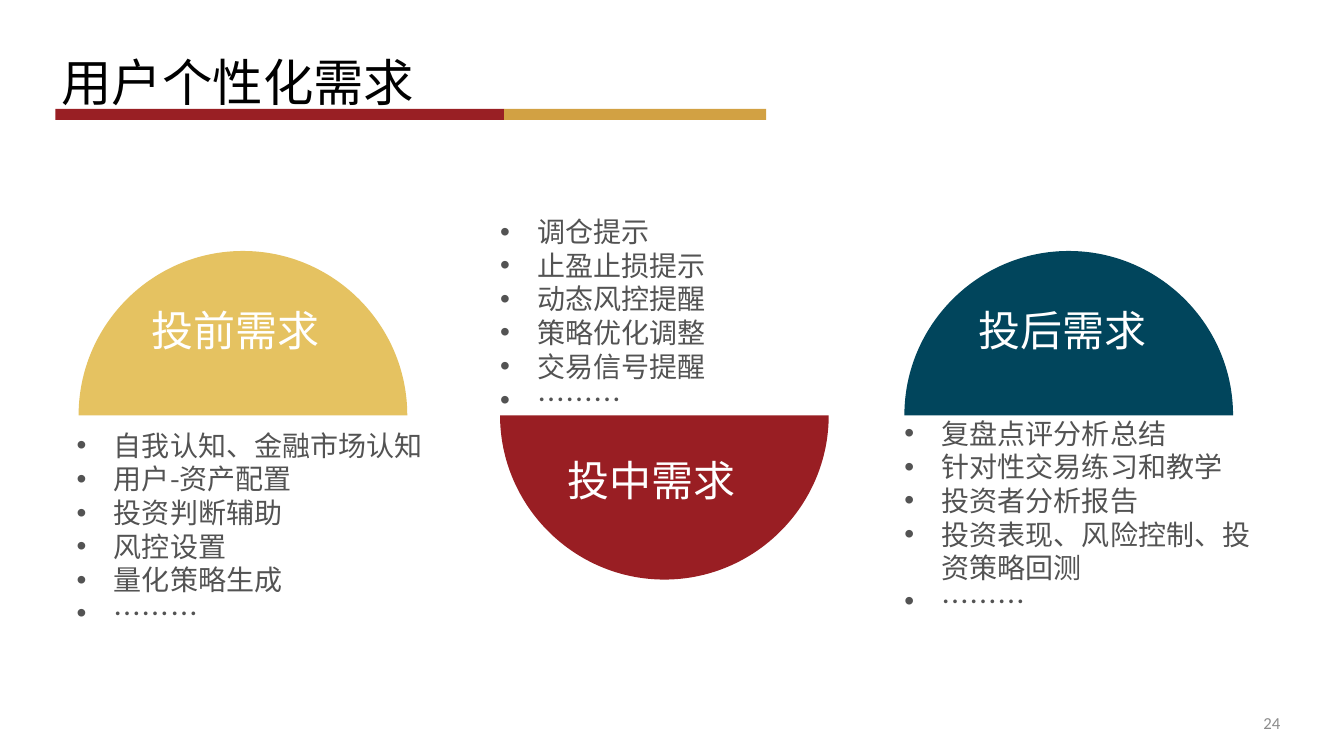
from lxml import etree
from pptx import Presentation
from pptx.dml.color import RGBColor
from pptx.enum.shapes import MSO_SHAPE
from pptx.enum.text import MSO_ANCHOR, PP_ALIGN
from pptx.oxml.ns import qn
from pptx.util import Inches, Pt

RECT = MSO_SHAPE.RECTANGLE
TOP, MIDDLE = MSO_ANCHOR.TOP, MSO_ANCHOR.MIDDLE
LEFT, RIGHT = PP_ALIGN.LEFT, PP_ALIGN.RIGHT
CJK, LATIN = "Noto Sans CJK SC", "Calibri"
COLORS = {
    "black": "000000", "white": "FFFFFF", "body": "535353", "number": "8C8C8C",
    "gold": "E5C261", "red": "991E23", "teal": "01455C",
    "bar_red": "991F24", "bar_gold": "D2A143",
}
RADIUS, BASELINE, INDENT = 1.63, 4.12, 0.37
ARC_PULL = 0.55
STAGES = [
    {"left": 0.78, "color": "gold", "up": True, "label": "投前需求",
     "label_at": (1.5, 3.02), "list_box": (0.76, 4.25, 3.65, 1.63),
     "items": ["自我认知、金融市场认知", "用户-资产配置", "投资判断辅助",
               "风控设置", "量化策略生成", "………"]},
    {"left": 4.96, "color": "red", "up": False, "label": "投中需求",
     "label_at": (5.63, 4.51), "list_box": (4.96, 2.13, 3.14, 2.07),
     "items": ["调仓提示", "止盈止损提示", "动态风控提醒",
               "策略优化调整", "交易信号提醒", "………"]},
    {"left": 8.97, "color": "teal", "up": True, "label": "投后需求",
     "label_at": (9.71, 3.02), "list_box": (8.97, 4.13, 3.52, 1.75),
     "items": ["复盘点评分析总结", "针对性交易练习和教学", "投资者分析报告",
               "投资表现、风险控制、投资策略回测", "………"]},
]


def paint(sp, color):
    """Give a shape a plain fill without line or shadow."""
    sp.shadow.inherit = False
    sp.fill.solid()
    sp.fill.fore_color.rgb = RGBColor.from_string(COLORS[color])
    sp.line.fill.background()


def add_bullet(p):
    """Give a paragraph a hanging round bullet."""
    pPr = p._p.get_or_add_pPr()
    pPr.set("marL", str(Inches(INDENT)))
    pPr.set("indent", str(-Inches(INDENT)))
    etree.SubElement(pPr, qn("a:buFont")).set("typeface", "Arial")
    etree.SubElement(pPr, qn("a:buChar")).set("char", "•")


def add_text(s, box, lines, size, color, font=CJK, anchor=TOP, align=LEFT,
             inset=0, spacing=None, bullets=False):
    """Add a text box with one paragraph for each line."""
    tf = s.shapes.add_textbox(*map(Inches, box)).text_frame
    tf.word_wrap = True
    tf.vertical_anchor = anchor
    tf.margin_left = tf.margin_right = Inches(inset)
    tf.margin_top = tf.margin_bottom = Inches(inset)
    for i, line in enumerate(lines):
        p = tf.paragraphs[0] if i == 0 else tf.add_paragraph()
        p.alignment = align
        if spacing:
            p.line_spacing = spacing
        if bullets:
            add_bullet(p)
        r = p.add_run()
        r.text = line
        r.font.size = Pt(size)
        r.font.name = font
        r.font.color.rgb = RGBColor.from_string(COLORS[color])
        etree.SubElement(r._r.get_or_add_rPr(), qn("a:ea")).set("typeface", font)


def add_half_disc(s, left, color, up):
    """Draw a half disc that rises above or hangs below the baseline."""
    x, y, r = Inches(left), Inches(BASELINE), Inches(RADIUS)
    builder = s.shapes.build_freeform(x, y)
    builder.add_line_segments([(x + r, y - r if up else y + r), (x + 2 * r, y)])
    sp = builder.convert_to_shape()
    base, tip = (r, 0) if up else (0, r)
    pull = round(r * ARC_PULL)
    bend = base + (pull if tip > base else -pull)
    arcs = [[(0, bend), (r - pull, tip), (r, tip)],
            [(r + pull, tip), (2 * r, bend), (2 * r, base)]]
    for line, arc in zip(list(sp._element.iter(qn("a:lnTo"))), arcs):
        curve = etree.Element(qn("a:cubicBezTo"))
        for px, py in arc:
            pt = etree.SubElement(curve, qn("a:pt"))
            pt.set("x", str(px))
            pt.set("y", str(py))
        line.getparent().replace(line, curve)
    paint(sp, color)


def add_stage(s, left, color, up, label, label_at, list_box, items):
    """Place one stage: half disc, label and list of needs."""
    add_half_disc(s, left, color, up)
    add_text(s, (*label_at, 2.2, 1.49), [label], 30, "white")
    add_text(s, list_box, items, 20, "body", bullets=True)


def add_header(s, left, top):
    """Place the title over its two-coloured rule."""
    add_text(s, (left, top, 10.71, 0.74), ["用户个性化需求"], 36, "black",
             anchor=MIDDLE, inset=0.06, spacing=1.2)
    for offset, width, color in [(0, 4.45, "bar_red"), (4.45, 2.6, "bar_gold")]:
        box = (left + offset, top + 0.7, width, 0.11)
        paint(s.shapes.add_shape(RECT, *map(Inches, box)), color)


def main():
    """Build the slide and save it."""
    prs = Presentation()
    prs.slide_width, prs.slide_height = Inches(13.33), Inches(7.5)
    s = prs.slides.add_slide(prs.slide_layouts[6])
    for stage in STAGES:
        add_stage(s, **stage)
    add_header(s, 0.55, 0.38)
    add_text(s, (9.62, 7.06, 3.08, 0.23), ["24"], 12, "number", font=LATIN,
             anchor=MIDDLE, align=RIGHT)
    prs.save("out.pptx")


if __name__ == "__main__":
    main()
